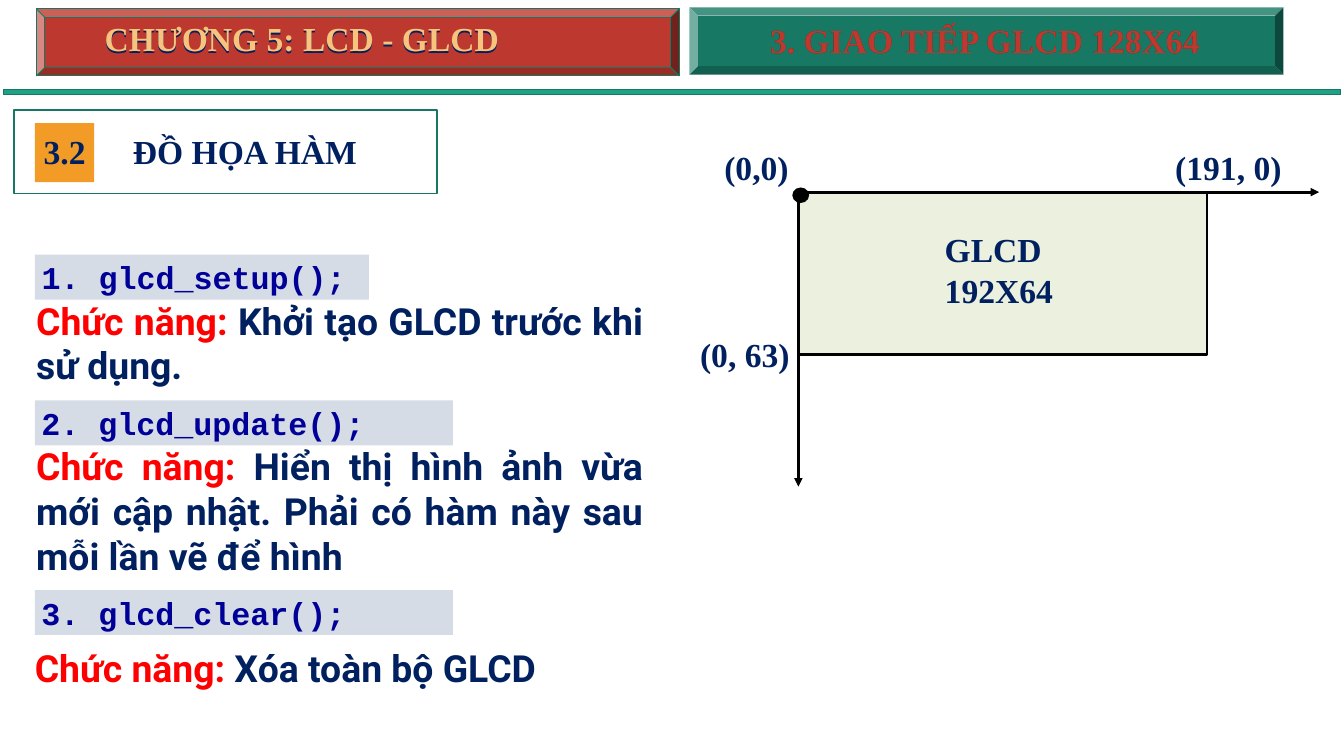
from lxml import etree
from pptx import Presentation
from pptx.dml.color import RGBColor
from pptx.enum.shapes import MSO_CONNECTOR, MSO_SHAPE
from pptx.enum.text import MSO_ANCHOR, MSO_AUTO_SIZE, PP_ALIGN
from pptx.oxml import parse_xml
from pptx.oxml.ns import nsdecls, qn
from pptx.util import Pt

BEVEL, MINUS = MSO_SHAPE.BEVEL, MSO_SHAPE.MATH_MINUS
RECTANGLE, OVAL = MSO_SHAPE.RECTANGLE, MSO_SHAPE.OVAL
STRAIGHT = MSO_CONNECTOR.STRAIGHT
TOP, MIDDLE = MSO_ANCHOR.TOP, MSO_ANCHOR.MIDDLE
LEFT, JUSTIFY = PP_ALIGN.LEFT, PP_ALIGN.JUSTIFY
NO_FIT = MSO_AUTO_SIZE.NONE

SERIF, CODE, BODY = "Times New Roman", "Courier New", "Roboto"
NAVY, RED, GREEN, DARK_GREEN = "002060", "BD392F", "177964", "167762"
GOLD, TEAL, BLACK = "F7C37D", "1EA185", "000000"

FUNCTIONS = [
    ("1. glcd_setup();", 272.9, 358,
     "Khởi tạo GLCD trước khi sử dụng.", (31.7, 315.4, 664.5, 104.4)),
    ("2. glcd_update();", 429.1, 448,
     "Hiển thị hình ảnh vừa mới cập nhật. Phải có hàm này sau mỗi lần vẽ để hình",
     (31.7, 471.6, 664.5, 152.6)),
    ("3. glcd_clear();", 632.2, 448,
     "Xóa toàn bộ GLCD", (30.2, 687.6, 664.5, 55.4)),
]


def rgb(value):
    """Turn a hex string into a colour."""
    return RGBColor.from_string(value)


def place(item, box):
    """Set left, top, width and height in points."""
    item.left, item.top, item.width, item.height = map(Pt, box)


def write(frame, *parts, size=36, font=SERIF, align=LEFT, anchor=TOP,
          after=0, outline=None):
    """Fill a text frame with one paragraph of (text, colour) parts."""
    frame.word_wrap = True
    frame.auto_size = NO_FIT
    frame.vertical_anchor = anchor
    paragraph = frame.paragraphs[0]
    paragraph.alignment = align
    paragraph.space_after = Pt(after)
    for text, colour in parts:
        run = paragraph.add_run()
        run.text = text
        run.font.size, run.font.name, run.font.bold = Pt(size), font, True
        run.font.color.rgb = rgb(colour)
        if outline:
            edge, width = outline
            run.font._element.insert(0, parse_xml(
                f'<a:ln {nsdecls("a")} w="{Pt(width)}"><a:solidFill>'
                f'<a:srgbClr val="{edge}"/></a:solidFill></a:ln>'))


def add_label(slide, box, *parts, **style):
    """Add a wrapped text box."""
    label = slide.shapes.add_textbox(*map(Pt, box))
    write(label.text_frame, *parts, **style)


def add_figure(slide, kind, box, fill=None, line=None, width=1):
    """Add a flat preset shape with optional fill and line."""
    figure = slide.shapes.add_shape(kind, *map(Pt, box))
    figure.shadow.inherit = False
    if fill:
        figure.fill.solid()
        figure.fill.fore_color.rgb = rgb(fill)
    else:
        figure.fill.background()
    if line:
        figure.line.color.rgb = rgb(line)
        figure.line.width = Pt(width)
    else:
        figure.line.fill.background()
    return figure


def add_axis(slide, *ends):
    """Add a black axis with an arrowhead at its end."""
    axis = slide.shapes.add_connector(STRAIGHT, *map(Pt, ends))
    axis.line.color.rgb = rgb(BLACK)
    axis.line.width = Pt(3)
    etree.SubElement(axis.line._get_or_add_ln(), qn("a:tailEnd"), type="triangle")
    etree.SubElement(axis._element.spPr, qn("a:effectLst"))


def add_header(slide):
    """Add the chapter and lesson banners with the rule below them."""
    chapter, lesson = "CHƯƠNG 5: LCD - GLCD", "3. GIAO TIẾP GLCD 128X64"
    add_figure(slide, BEVEL, (38.9, 9.4, 689, 72), RED, DARK_GREEN)
    add_figure(slide, BEVEL, (738.7, 7.9, 636.5, 72), GREEN)
    add_label(slide, (817.9, 17.3, 586.8, 51.1), (lesson, "5E1C18"),
              outline=(GOLD, 2.25))
    title = slide.shapes.title
    place(title, (817.9, 17.3, 580.3, 51.1))
    write(title.text_frame, (lesson, RED))
    slide.shapes._spTree.append(title._element)
    add_label(slide, (105.1, 17.3, 882, 51.1), (chapter, NAVY),
              outline=(TEAL, 2.75))
    add_label(slide, (105.1, 15.1, 882, 51.1), (chapter, GOLD))
    add_figure(slide, MINUS, (-254.9, 86.4, 1949.8, 23.8), TEAL, DARK_GREEN)


def add_section(slide):
    """Add the numbered section heading."""
    add_figure(slide, RECTANGLE, (37.4, 131.8, 63.4, 63.4), "F29B26")
    add_figure(slide, RECTANGLE, (15.1, 117.4, 452.9, 90), line=DARK_GREEN, width=2)
    add_label(slide, (135.4, 136.8, 355, 51.1), ("ĐỒ HỌA HÀM", NAVY))
    add_label(slide, (39.6, 136.8, 85.7, 51.1), ("3.2", NAVY))


def add_function(slide, call, top, width, purpose, purpose_box):
    """Add a function call strip and the purpose below it."""
    strip = add_figure(slide, RECTANGLE, (37.4, top, width, 48.2), "D6DCE5")
    write(strip.text_frame, (call, "000099"), size=34, font=CODE,
          anchor=MIDDLE, after=6)
    add_label(slide, purpose_box, ("Chức năng: ", "FF0000"), (purpose, NAVY),
              size=40, font=BODY, align=JUSTIFY)


def add_screen(slide):
    """Add the display area with its axes and corner coordinates."""
    left, top = 855.4, 205.9
    add_figure(slide, RECTANGLE, (left, top, 437.8, 174.2), "EBF1DE", BLACK, 3)
    add_axis(slide, left, top, 1413.4, top)
    add_axis(slide, left, 263.5, left, 521.3)
    add_figure(slide, OVAL, (848.9, 200.9, 18, 16.6), BLACK)
    for text, box in (
        ("(0,0)", (769, 154.1, 113, 51.1)),
        ("(191, 0)", (1252.1, 153.4, 150.5, 51.1)),
        ("(0, 63)", (743, 354.2, 150.5, 51.1)),
        ("GLCD 192X64", (1005.1, 241.9, 150.5, 94.3)),
    ):
        add_label(slide, box, (text, NAVY))


def main():
    """Build and save the slide."""
    deck = Presentation()
    deck.slide_width, deck.slide_height = Pt(1440), Pt(810)
    slide = deck.slides.add_slide(deck.slide_layouts.get_by_name("Title Only"))
    add_header(slide)
    add_section(slide)
    for function in FUNCTIONS:
        add_function(slide, *function)
    add_screen(slide)
    deck.save("out.pptx")


if __name__ == "__main__":
    main()
